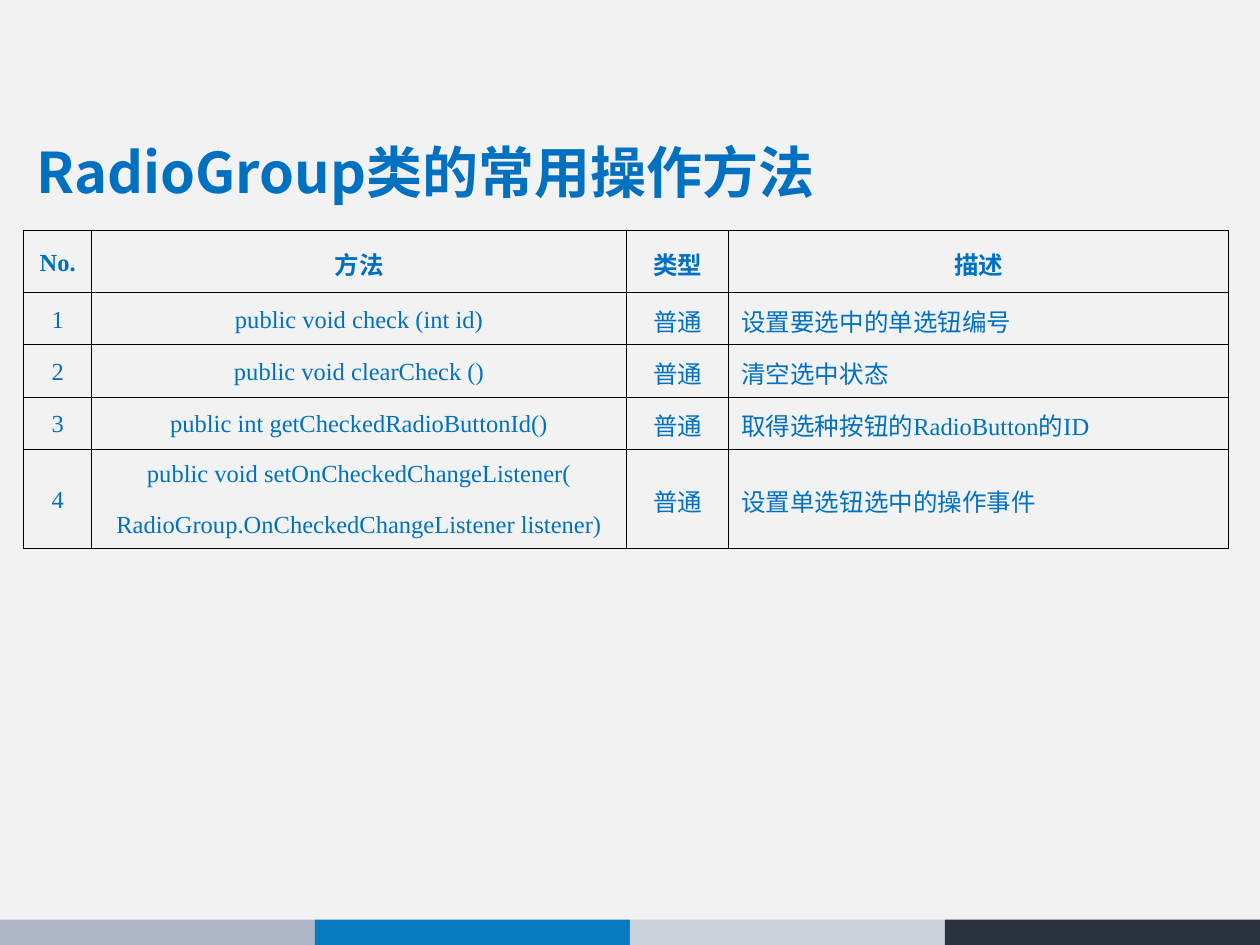
from lxml.etree import SubElement
from pptx import Presentation
from pptx.dml.color import RGBColor
from pptx.enum.shapes import MSO_SHAPE as Shape
from pptx.enum.text import MSO_ANCHOR as Anchor, MSO_AUTO_SIZE as AutoSize, PP_ALIGN as Align
from pptx.oxml.ns import qn
from pptx.util import Cm, Pt

BLUE = "0070C0"
SANS = "Noto Sans CJK SC"
SERIF = "Times New Roman"
STRIPES = ["ADB6C7", "087AC0", "CBD1DB", "2A323E"]
COLUMN_WIDTHS = [1.37, 10.78, 2.06, 10.08]
ROW_HEIGHTS = [1.25, 1.05, 1.05, 1.05, 2]
ROWS = [
    ["No.", "方法", "类型", "描述"],
    ["1", "public void check (int id)", "普通", "设置要选中的单选钮编号"],
    ["2", "public void clearCheck ()", "普通", "清空选中状态"],
    ["3", "public int getCheckedRadioButtonId()", "普通", "取得选种按钮的RadioButton的ID"],
    ["4", "public void setOnCheckedChangeListener(\nRadioGroup.OnCheckedChangeListener listener)",
     "普通", "设置单选钮选中的操作事件"],
]


def paint(fill, color):
    """Give a fill one solid colour from a hex string."""
    fill.solid()
    fill.fore_color.rgb = RGBColor.from_string(color)


def write(frame, text, font=SERIF, size=14, bold=False, align=Align.CENTER, spacing=1.1, before=12):
    """Write each line of text as a formatted paragraph."""
    for index, line in enumerate(text.split("\n")):
        para = frame.add_paragraph() if index else frame.paragraphs[0]
        para.alignment = align
        para.line_spacing = spacing
        para.space_before = Pt(before if index else 0)
        span = para.add_run()
        span.text = line
        span.font.name = font
        span.font.size = Pt(size)
        span.font.bold = bold
        paint(span.font.fill, BLUE)
        SubElement(span.font._element, qn("a:ea"), typeface=SANS)


def draw_borders(cell, color="000000", width=0.45):
    """Draw a thin line on all four sides of a cell."""
    properties = cell._tc.get_or_add_tcPr()
    for side in ("lnL", "lnR", "lnT", "lnB"):
        line = SubElement(properties, qn(f"a:{side}"), w=str(Pt(width)))
        SubElement(SubElement(line, qn("a:solidFill")), qn("a:srgbClr"), val=color)


def add_stripes(page, left, top, width, height):
    """Divide a band into equal coloured stripes."""
    step = width / len(STRIPES)
    for index, color in enumerate(STRIPES):
        box = page.shapes.add_shape(
            Shape.RECTANGLE, Cm(left + index * step), Cm(top), Cm(step), Cm(height))
        box.shadow.inherit = False
        box.line.fill.background()
        paint(box.fill, color)


def add_title(page, left, top, width, height):
    """Place and format the title placeholder."""
    title = page.shapes.title
    title.left, title.top, title.width, title.height = Cm(left), Cm(top), Cm(width), Cm(height)
    frame = title.text_frame
    frame.auto_size = AutoSize.NONE
    frame.word_wrap = True
    frame.vertical_anchor = Anchor.MIDDLE
    write(frame, "RadioGroup类的常用操作方法", font=SANS, size=32, bold=True,
          align=Align.LEFT, spacing=0.9)


def add_methods_table(page, left, top, width, height):
    """Build the table of methods with a bold header row."""
    table = page.shapes.add_table(
        len(ROWS), len(COLUMN_WIDTHS), Cm(left), Cm(top), Cm(width), Cm(height)).table
    table.first_row = table.horz_banding = False
    for column, size in zip(table.columns, COLUMN_WIDTHS):
        column.width = Cm(size)
    for row, size, texts in zip(table.rows, ROW_HEIGHTS, ROWS):
        row.height = Cm(size)
        header = texts is ROWS[0]
        for index, (cell, text) in enumerate(zip(row.cells, texts)):
            description = index == len(texts) - 1 and not header
            draw_borders(cell)
            cell.fill.background()
            cell.vertical_anchor = Anchor.MIDDLE
            write(cell.text_frame, text, bold=header,
                  align=Align.JUSTIFY if description else Align.CENTER)


def main():
    """Build the deck and save it."""
    deck = Presentation()
    deck.slide_width, deck.slide_height = Cm(25.4), Cm(19.05)
    page = deck.slides.add_slide(deck.slide_layouts[5])
    paint(page.background.fill, "F2F2F2")
    add_stripes(page, 0, 18.54, 25.4, 0.51)
    add_title(page, 0.48, 2.44, 24.3, 2.18)
    add_methods_table(page, 0.48, 4.65, sum(COLUMN_WIDTHS), sum(ROW_HEIGHTS))
    deck.save("out.pptx")


if __name__ == "__main__":
    main()
